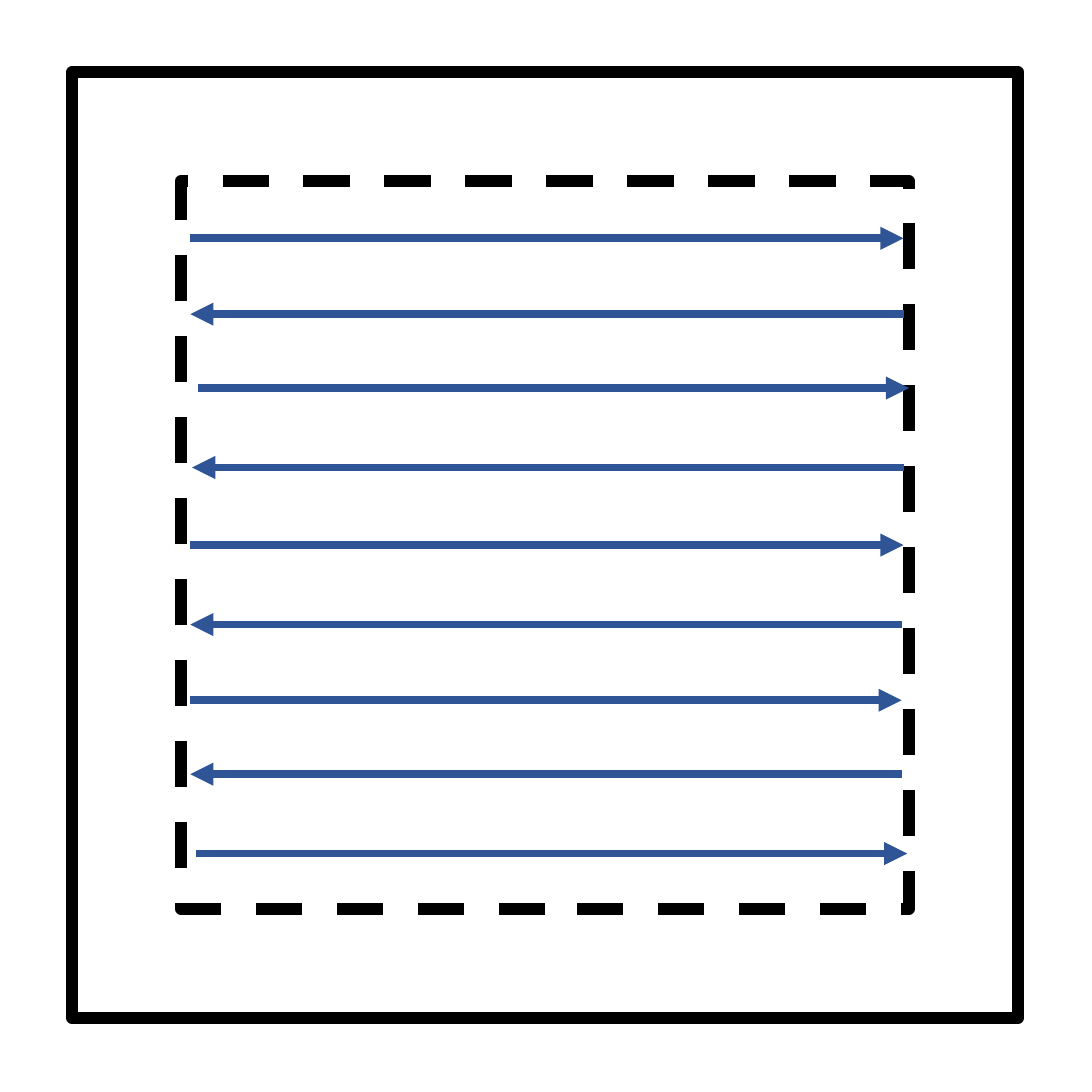
"""Build a slide with a back-and-forth scan path inside a dashed square."""
import pptx
import pptx.dml.color
import pptx.enum.dml
import pptx.enum.shapes
import pptx.oxml.ns
import pptx.util
from lxml import etree
from pptx.util import Inches

BLACK = pptx.dml.color.RGBColor(0x00, 0x00, 0x00)
BLUE = pptx.dml.color.RGBColor(0x2F, 0x55, 0x97)

SQUARES = [
    (0.39, 5.12, pptx.enum.dml.MSO_LINE.SOLID),
    (0.98, 3.94, pptx.enum.dml.MSO_LINE.DASH),
]
SCAN_LINES = [
    (1.03, 4.89, 1.29),
    (4.89, 1.03, 1.7),
    (1.07, 4.92, 2.1),
    (4.89, 1.04, 2.53),
    (1.03, 4.89, 2.95),
    (4.88, 1.03, 3.38),
    (1.03, 4.88, 3.79),
    (4.88, 1.03, 4.19),
    (1.06, 4.91, 4.62),
]

presentation = pptx.Presentation()
presentation.slide_width = Inches(5.91)
presentation.slide_height = Inches(5.91)
slide = presentation.slides.add_slide(presentation.slide_layouts[6])

for offset, side, dash_style in SQUARES:
    square = slide.shapes.add_shape(
        pptx.enum.shapes.MSO_SHAPE.RECTANGLE,
        Inches(offset), Inches(offset), Inches(side), Inches(side),
    )
    square.shadow.inherit = False
    square.fill.background()
    square.line.color.rgb = BLACK
    square.line.width = pptx.util.Pt(4.5)
    square.line.dash_style = dash_style

for start, end, height in reversed(SCAN_LINES):
    arrow = slide.shapes.add_connector(
        pptx.enum.shapes.MSO_CONNECTOR.STRAIGHT,
        Inches(start), Inches(height), Inches(end), Inches(height),
    )
    arrow.line.color.rgb = BLUE
    arrow.line.width = pptx.util.Pt(3)
    properties = arrow.element.spPr
    outline = properties.find(pptx.oxml.ns.qn("a:ln"))
    etree.SubElement(outline, pptx.oxml.ns.qn("a:tailEnd"), type="triangle")
    etree.SubElement(properties, pptx.oxml.ns.qn("a:effectLst"))

presentation.save("out.pptx")
